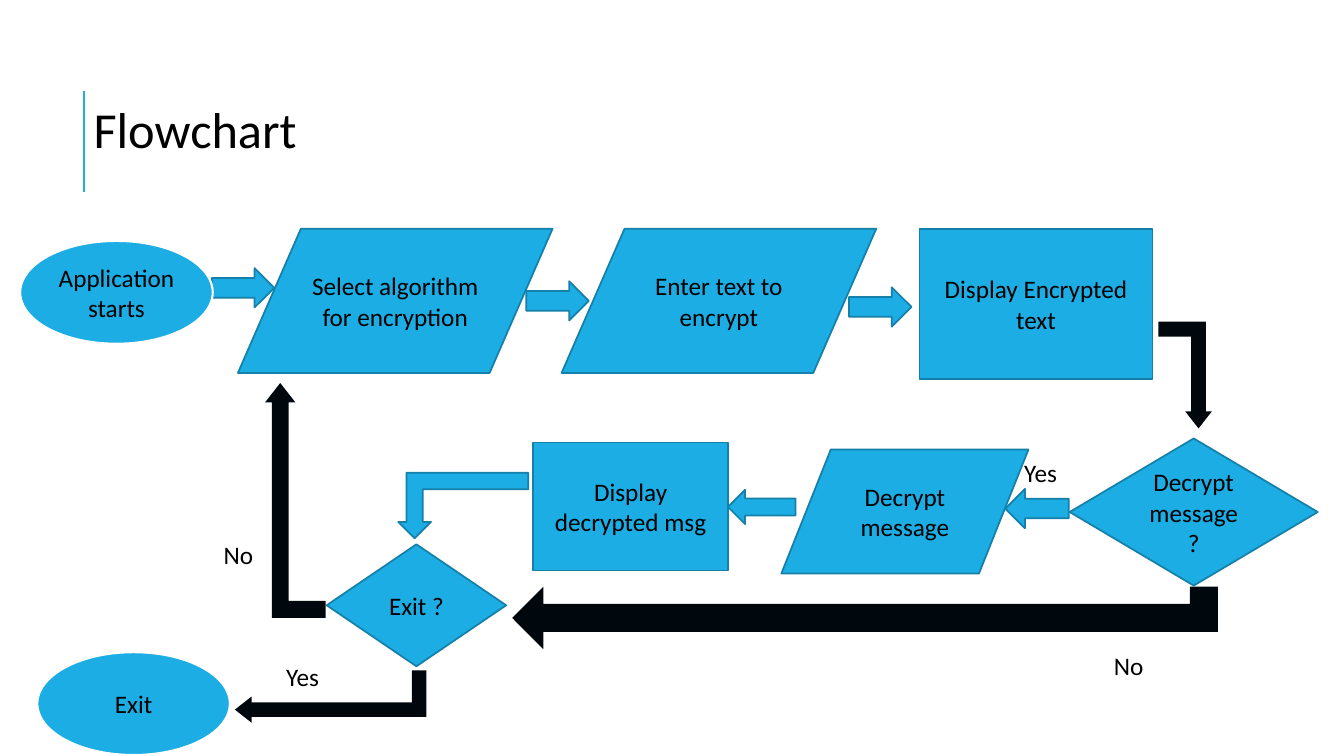
from dataclasses import dataclass

from lxml.etree import SubElement
from pptx import Presentation
from pptx.dml.color import RGBColor
from pptx.enum.shapes import MSO_CONNECTOR, MSO_SHAPE
from pptx.enum.text import MSO_ANCHOR, PP_ALIGN
from pptx.oxml.ns import qn
from pptx.util import Inches, Pt


@dataclass(frozen=True)
class Theme:
    font: str = "Calibri"
    title_size: float = 36
    body_size: float = 18
    text: str = "000000"
    accent: str = "1CADE4"
    outline: str = "1580A9"
    halo: str = "FFFFFF"
    dark: str = "00080D"
    thin: float = 1.25
    thick: float = 1.5


@dataclass(frozen=True)
class Box:
    left: float
    top: float
    width: float
    height: float

    def inner(self, left, top, width, height):
        return Box(self.left + left, self.top + top, width, height)

    def lengths(self):
        return [Inches(v) for v in (self.left, self.top, self.width, self.height)]


THEME = Theme()
INPUT_OUTPUT = MSO_SHAPE.FLOWCHART_DATA
BENT = MSO_SHAPE.BENT_UP_ARROW
SLIM_BEND = (0.28, 0.25, 0.32)
WIDE_BEND = (0.45, 0.5, 0.5)


def write(holder, text, size=THEME.body_size, align=PP_ALIGN.LEFT, anchor=MSO_ANCHOR.TOP):
    frame = holder.text_frame
    frame.word_wrap = True
    frame.vertical_anchor = anchor
    paragraph = frame.paragraphs[0]
    paragraph.alignment = align
    run = paragraph.add_run()
    run.text = text
    run.font.name = THEME.font
    run.font.size = Pt(size)
    run.font.color.rgb = RGBColor.from_string(THEME.text)


def label(slide, box, text, **text_format):
    write(slide.shapes.add_textbox(*box.lengths()), text, **text_format)


def block(slide, kind, box, fill=THEME.accent, line=THEME.outline, weight=THEME.thin):
    shape = slide.shapes.add_shape(kind, *box.lengths())
    shape.shadow.inherit = False
    shape.fill.solid()
    shape.fill.fore_color.rgb = RGBColor.from_string(fill)
    if line:
        shape.line.color.rgb = RGBColor.from_string(line)
        shape.line.width = Pt(weight)
    else:
        shape.line.fill.background()
    return shape


def step(slide, kind, box, text, **style):
    write(block(slide, kind, box, **style), text,
          align=PP_ALIGN.CENTER, anchor=MSO_ANCHOR.MIDDLE)


def terminal(slide, box, text):
    step(slide, MSO_SHAPE.OVAL, box, text, line=THEME.halo, weight=THEME.thick)


def arrow(slide, box, turn, kind=MSO_SHAPE.DOWN_ARROW, **style):
    if turn % 180:
        shift = (box.width - box.height) / 2
        box = box.inner(shift, -shift, box.height, box.width)
    shape = block(slide, kind, box, **style)
    shape.rotation = turn
    return shape


def dark_bend(slide, box, turn, bend=SLIM_BEND):
    shape = arrow(slide, box, turn, kind=BENT, fill=THEME.dark, line=None)
    shape.element.spPr.xfrm.set("flipH", "1")
    for index, value in enumerate(bend):
        shape.adjustments[index] = value


def title(slide, box):
    left, top, _, height = box.lengths()
    rule = slide.shapes.add_connector(MSO_CONNECTOR.STRAIGHT, left, top + height, left, top)
    rule.line.color.rgb = RGBColor.from_string(THEME.accent)
    rule.line.width = Pt(THEME.thick)
    SubElement(rule.element.spPr, qn("a:effectLst"))
    label(slide, box.inner(0, 0.02, box.width, 0.71), "Flowchart", size=THEME.title_size)


def encryption_row(slide, box):
    for left, top in ((2.1, 0.39), (5.22, 0.52), (8.42, 0.58)):
        arrow(slide, box.inner(left, top, 0.62, 0.39), 270)
    terminal(slide, box.inner(0.2, 0.12, 1.91, 1.02), "Application starts")
    for left, text in ((2.36, "Select algorithm for encryption"),
                       (5.57, "Enter text to encrypt")):
        step(slide, INPUT_OUTPUT, box.inner(left, 0, 3.12, 1.43), text)
    step(slide, MSO_SHAPE.RECTANGLE, box.inner(9.12, 0, 2.31, 1.49), "Display Encrypted text")
    dark_bend(slide, box.inner(11.49, 0.92, 0.53, 1.06), 180)


def decryption_row(slide, box):
    arrow(slide, box.inner(9.97, 0.5, 0.63, 0.39), 90)
    arrow(slide, box.inner(7.22, 0.51, 0.67, 0.34), 90)
    step(slide, MSO_SHAPE.DIAMOND, box.inner(10.61, 0, 2.46, 1.46), "Decrypt message ?")
    step(slide, INPUT_OUTPUT, box.inner(7.75, 0.11, 2.45, 1.23), "Decrypt message")
    step(slide, MSO_SHAPE.RECTANGLE, box.inner(5.29, 0.04, 1.93, 1.27), "Display decrypted msg")
    arrow(slide, box.inner(3.95, 0.34, 1.29, 0.65), 180, kind=BENT)
    label(slide, box.inner(10.06, 0.14, 0.74, 0.4), "Yes")


def exit_branch(slide, box):
    dark_bend(slide, box.inner(5.08, 2.02, 7, 0.62), 270, bend=WIDE_BEND)
    step(slide, MSO_SHAPE.DIAMOND, box.inner(3.24, 1.6, 1.78, 1.21), "Exit ?")
    dark_bend(slide, box.inner(2.63, 0, 0.6, 2.33), 0)
    dark_bend(slide, box.inner(2.33, 2.85, 1.9, 0.52), 270)
    terminal(slide, box.inner(0.37, 2.67, 1.91, 1.02), "Exit")
    label(slide, box.inner(10.95, 2.6, 1.4, 0.4), "No")
    label(slide, box.inner(2.74, 2.71, 0.69, 0.4), "Yes")
    label(slide, box.inner(2.12, 1.5, 0.69, 0.4), "No")


def main():
    deck = Presentation()
    deck.slide_width, deck.slide_height = Inches(13.33), Inches(7.5)
    slide = deck.slides.add_slide(deck.slide_layouts[6])
    title(slide, Box(0.83, 0.9, 6.67, 1))
    encryption_row(slide, Box(0, 2.27, 13.33, 1.98))
    decryption_row(slide, Box(0, 4.35, 13.33, 1.46))
    exit_branch(slide, Box(0, 3.8, 13.33, 3.7))
    deck.save("out.pptx")


if __name__ == "__main__":
    main()
